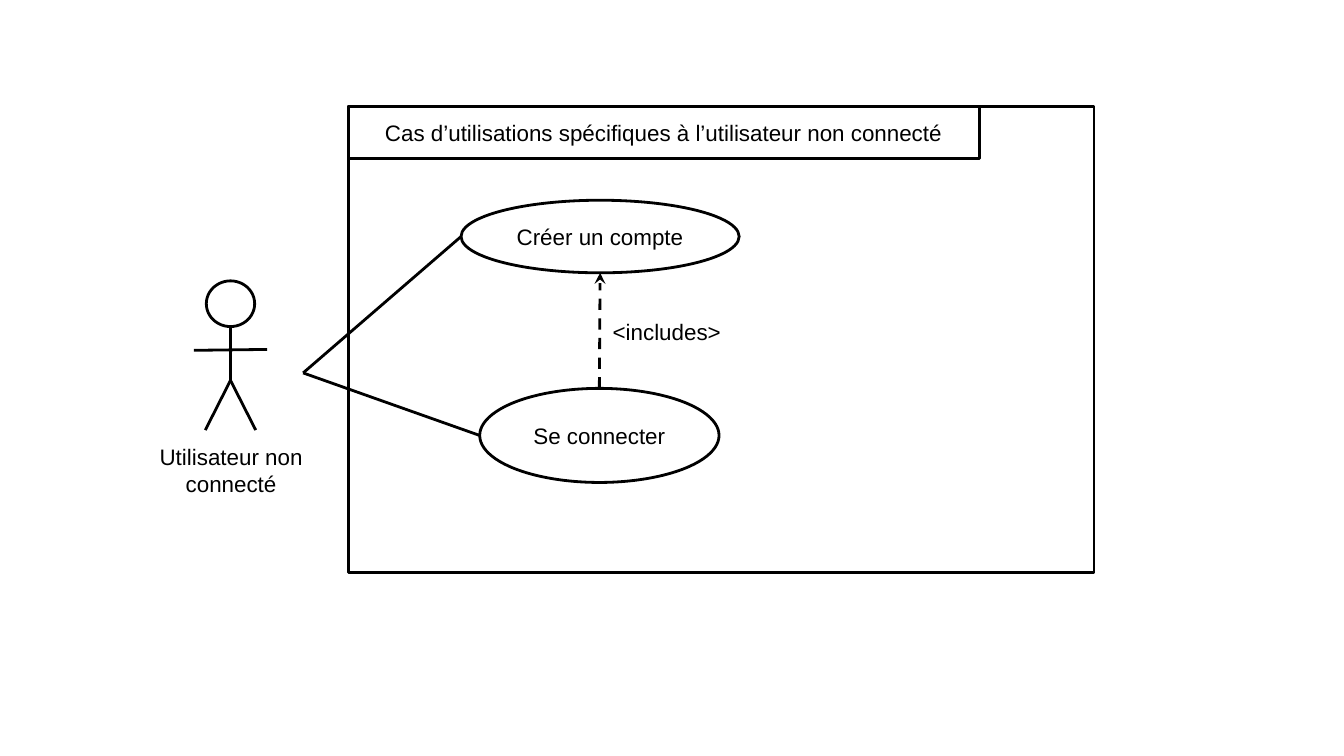
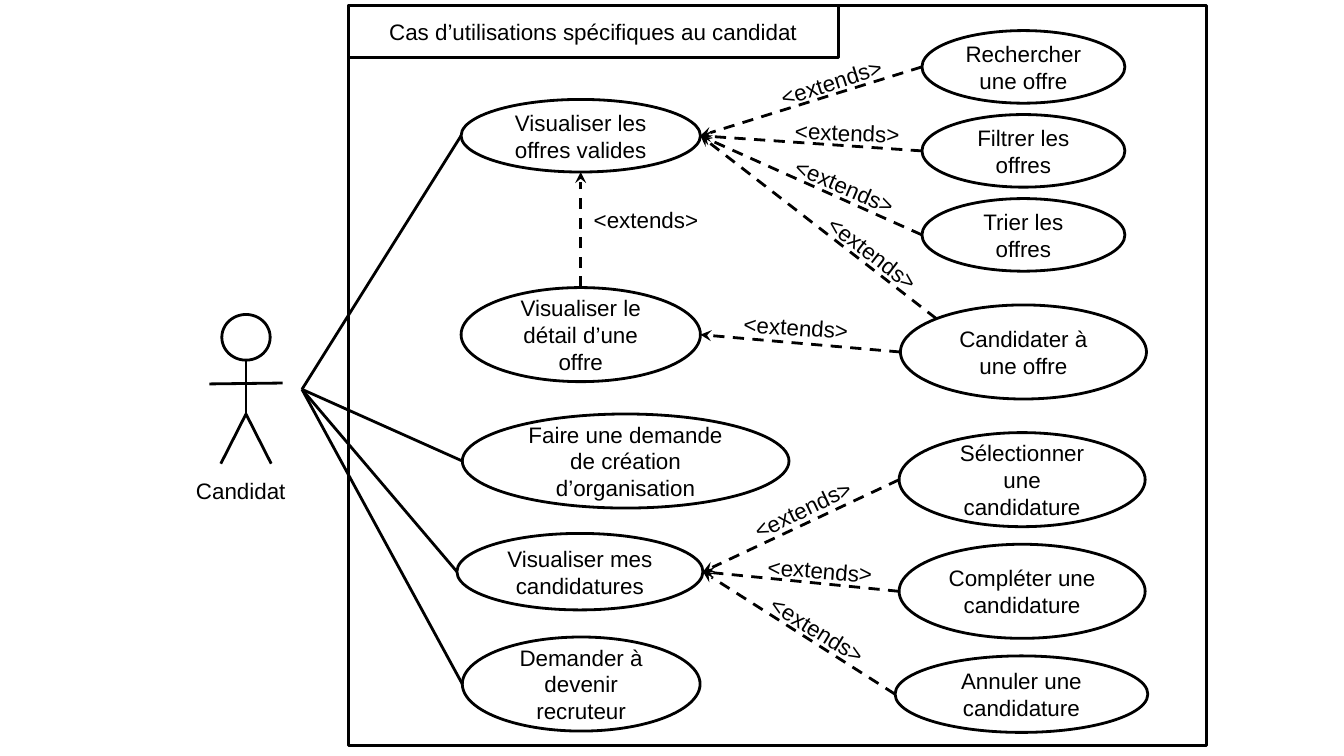
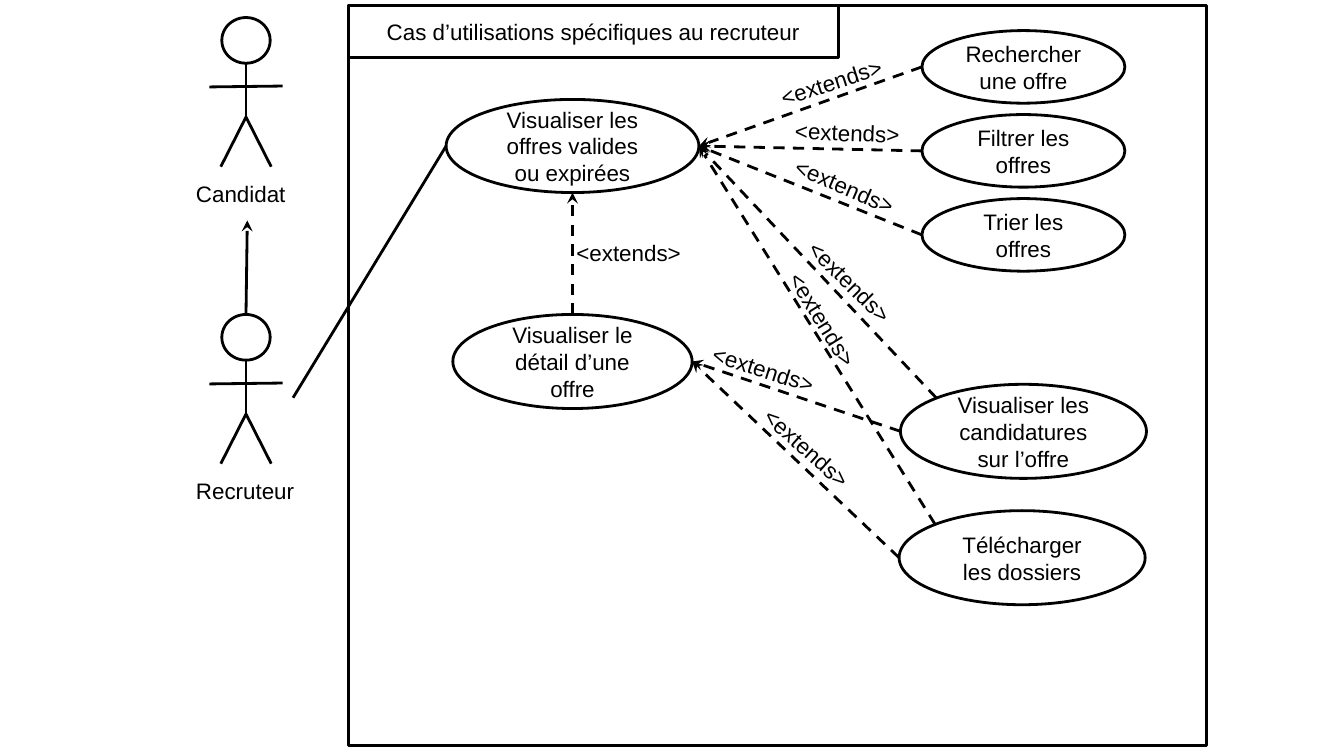
from dataclasses import dataclass
from math import sqrt
from typing import NamedTuple, Optional

from lxml import etree
from pptx import Presentation
from pptx.dml.color import RGBColor
from pptx.enum import dml, shapes, text
from pptx.oxml.ns import qn
from pptx.util import Pt

BLACK = RGBColor(0, 0, 0)
WHITE = RGBColor(255, 255, 255)
FONT = "Arial"
FONT_SIZE = 12
LINE_WIDTH = 1.5
INSET = 7.2
LABEL_WIDTH, LABEL_HEIGHT = 85, 18
TAB_HEIGHT = 28.1

# Position of each ellipse site, as a share of the half width and half height
DIAGONAL = sqrt(0.5)
SITES = {
    "top": (0, -1),
    "bottom": (0, 1),
    "left": (-1, 0),
    "right": (1, 0),
    "top left": (-DIAGONAL, -DIAGONAL),
}


class Point(NamedTuple):
    x: float
    y: float


class Box(NamedTuple):
    left: float
    top: float
    width: float
    height: float


class UseCase(NamedTuple):
    name: str
    box: Box

    def site(self, side: str) -> Point:
        dx, dy = SITES[side]
        left, top, width, height = self.box
        return Point(left + width / 2 * (1 + dx), top + height / 2 * (1 + dy))


class Label(NamedTuple):
    left: float
    top: float
    rotation: float = 0
    words: str = "<extends>"


class Dependency(NamedTuple):
    source: UseCase
    target: UseCase
    label: Label
    source_side: str = "left"
    target_side: str = "right"


class Actor(NamedTuple):
    name: str
    center: float
    top: float
    name_left: float
    name_width: float = LABEL_WIDTH
    align: text.PP_ALIGN = text.PP_ALIGN.LEFT


@dataclass
class Diagram:
    title: str
    frame: Box
    tab_width: float
    actors: list[Actor]
    hand: Point
    actor_cases: list[UseCase]
    other_cases: list[UseCase]
    dependencies: list[Dependency]
    inheritance: Optional[tuple[Point, Point]] = None


# Drawing helpers
def style_line(shape, dashed: bool = False, arrow: bool = False) -> None:
    shape.line.color.rgb = BLACK
    shape.line.width = Pt(LINE_WIDTH)
    if dashed:
        shape.line.dash_style = dml.MSO_LINE.DASH
    outline = shape.line._get_or_add_ln()
    etree.SubElement(outline, qn("a:round"))
    if arrow:
        etree.SubElement(outline, qn("a:tailEnd"), type="stealth")


def draw_line(parent, start: Point, end: Point, dashed: bool = False, arrow: bool = False) -> None:
    line = parent.add_connector(
        shapes.MSO_CONNECTOR.STRAIGHT, Pt(start.x), Pt(start.y), Pt(end.x), Pt(end.y)
    )
    style_line(line, dashed, arrow)
    etree.SubElement(line._element.spPr, qn("a:effectLst"))


def write(shape, words: str, *, align=text.PP_ALIGN.CENTER, anchor=text.MSO_ANCHOR.MIDDLE) -> None:
    frame = shape.text_frame
    frame.word_wrap = True
    frame.vertical_anchor = anchor
    frame.margin_left = frame.margin_right = Pt(INSET)
    frame.margin_top = frame.margin_bottom = Pt(INSET)
    paragraph = frame.paragraphs[0]
    paragraph.alignment = align
    run = paragraph.add_run()
    run.text = words
    run.font.name = FONT
    run.font.size = Pt(FONT_SIZE)
    run.font.color.rgb = BLACK


def draw_outline(parent, kind: shapes.MSO_SHAPE, box: Box, words: str = "") -> None:
    shape = parent.add_shape(kind, *map(Pt, box))
    shape.shadow.inherit = False
    shape.fill.background()
    style_line(shape)
    if words:
        write(shape, words)


def draw_label(parent, words: str, box: Box, rotation: float = 0, align=text.PP_ALIGN.LEFT) -> None:
    label = parent.add_textbox(*map(Pt, box))
    label.rotation = rotation
    write(label, words, align=align, anchor=text.MSO_ANCHOR.TOP)


def draw_actor(parent, actor: Actor) -> None:
    x, y = actor.center, actor.top
    head_width, head_height, feet = 25.9, 24.5, 79.9
    figure = parent.add_group_shape().shapes
    draw_outline(figure, shapes.MSO_SHAPE.OVAL, Box(x - head_width / 2, y, head_width, head_height))
    limbs = [
        (Point(x, y + 54.7), Point(x, y + head_height)),
        (Point(x - 19.6, y + 37.2), Point(x + 19.6, y + 36.7)),
        (Point(x - 13.5, y + feet), Point(x, y + 53.3)),
        (Point(x + 13.5, y + feet), Point(x, y + 53.3)),
    ]
    for start, end in limbs:
        draw_line(figure, start, end)
    name_box = Box(actor.name_left, y + feet, actor.name_width, LABEL_HEIGHT)
    draw_label(parent, actor.name, name_box, align=actor.align)


def draw_diagram(slide, diagram: Diagram) -> None:
    slide.background.fill.solid()
    slide.background.fill.fore_color.rgb = WHITE
    parent = slide.shapes
    # System frame and its title tab
    frame = diagram.frame
    draw_outline(parent, shapes.MSO_SHAPE.RECTANGLE, frame)
    tab = Box(frame.left, frame.top, diagram.tab_width, TAB_HEIGHT)
    draw_outline(parent, shapes.MSO_SHAPE.RECTANGLE, tab, diagram.title)
    # Actors
    for actor in diagram.actors:
        draw_actor(parent, actor)
    if diagram.inheritance:
        draw_line(parent, *diagram.inheritance, arrow=True)
    # Use cases and their links
    for case in diagram.actor_cases + diagram.other_cases:
        draw_outline(parent, shapes.MSO_SHAPE.OVAL, case.box, case.name)
    for case in diagram.actor_cases:
        draw_line(parent, diagram.hand, case.site("left"))
    for link in diagram.dependencies:
        start = link.source.site(link.source_side)
        end = link.target.site(link.target_side)
        draw_line(parent, start, end, dashed=True, arrow=True)
        label = link.label
        box = Box(label.left, label.top, LABEL_WIDTH, LABEL_HEIGHT)
        draw_label(parent, label.words, box, label.rotation)


# Parts shared by the candidate and recruiter diagrams
LARGE_FRAME = Box(186.5, 2.9, 460.1, 396.7)
LARGE_TAB = 262.8
OFFER_TOOLS = [
    UseCase(name, Box(493.9, 16.4 + 45 * row, 108.7, 38.9))
    for row, name in enumerate(["Rechercher une offre", "Filtrer les offres", "Trier les offres"])
]
OFFER_TOOL_LABELS = [Label(408.2, 27.4, 342.1), Label(419, 56.9, 2.2), Label(419, 88.6, 23.3)]


def offer_tool_links(offers: UseCase) -> list[Dependency]:
    return [Dependency(tool, offers, label) for tool, label in zip(OFFER_TOOLS, OFFER_TOOL_LABELS)]


def person(name: str, top: float) -> Actor:
    return Actor(name, 131.8, top, 97.9)


def visitor_diagram() -> Diagram:
    create = UseCase("Créer un compte", Box(247, 107.3, 149, 38.9))
    log_in = UseCase("Se connecter", Box(257, 208.1, 128.2, 50.4))
    visitor = Actor("Utilisateur non connecté", 123.5, 150.5, 64.1, 119.5, text.PP_ALIGN.CENTER)
    includes = Label(321.1, 163.4, words="<includes>")
    return Diagram(
        title="Cas d’utilisations spécifiques à l’utilisateur non connecté",
        frame=Box(186.5, 56.9, 399.6, 249.8),
        tab_width=338.4,
        actors=[visitor],
        hand=Point(162.4, 199.8),
        actor_cases=[create, log_in],
        other_cases=[],
        dependencies=[Dependency(log_in, create, includes, "top", "bottom")],
    )


def candidate_diagram() -> Diagram:
    offers = UseCase("Visualiser les offres valides", Box(247, 53.3, 128.2, 38.9))
    detail = UseCase("Visualiser le détail d’une offre", Box(247, 154.1, 128.2, 50.4))
    apply = UseCase("Candidater à une offre", Box(482.4, 163.4, 131.8, 50.4))
    organisation = UseCase(
        "Faire une demande de création d’organisation", Box(247.7, 221.8, 175, 50.4)
    )
    applications = UseCase("Visualiser mes candidatures", Box(244.8, 285.8, 131.8, 41))
    recruiter = UseCase("Demander à devenir recruteur", Box(247.7, 341.3, 127.4, 50.4))
    select = UseCase("Sélectionner une candidature", Box(481.7, 231.8, 131.8, 50.4))
    complete = UseCase("Compléter une candidature", Box(481.7, 291.6, 131.8, 50.4))
    cancel = UseCase("Annuler une candidature", Box(479.5, 351.4, 135.4, 41))
    return Diagram(
        title="Cas d’utilisations spécifiques au candidat",
        frame=LARGE_FRAME,
        tab_width=LARGE_TAB,
        actors=[person("Candidat", 168.5)],
        hand=Point(161.8, 208.6),
        actor_cases=[offers, organisation, applications, recruiter],
        other_cases=[*OFFER_TOOLS, detail, apply, select, complete, cancel],
        dependencies=[
            *offer_tool_links(offers),
            Dependency(detail, offers, Label(311, 103), "top", "bottom"),
            Dependency(apply, offers, Label(434.2, 126.7, 37.6), "top left"),
            Dependency(apply, detail, Label(391.7, 161.3, 3.9)),
            Dependency(select, applications, Label(391.7, 255.6, 334.2)),
            Dependency(complete, applications, Label(404.6, 291.6, 4.3)),
            Dependency(cancel, applications, Label(404.6, 327.6, 31.8)),
        ],
    )


def recruiter_diagram() -> Diagram:
    offers = UseCase("Visualiser les offres valides ou expirées", Box(239, 53.3, 135.4, 49.9))
    detail = UseCase("Visualiser le détail d’une offre", Box(242.6, 168.5, 128.2, 50.4))
    applications = UseCase(
        "Visualiser les candidatures sur l’offre", Box(482.4, 205.9, 131.8, 50.4)
    )
    download = UseCase("Télécharger les dossiers", Box(481.7, 273.6, 131.8, 50.4))
    return Diagram(
        title="Cas d’utilisations spécifiques au recruteur",
        frame=LARGE_FRAME,
        tab_width=LARGE_TAB,
        actors=[person("Recruteur", 168.5), person("Candidat", 9.4)],
        hand=Point(157, 213.1),
        actor_cases=[offers],
        other_cases=[*OFFER_TOOLS, detail, applications, download],
        dependencies=[
            *offer_tool_links(offers),
            Dependency(detail, offers, Label(301.7, 121), "top", "bottom"),
            Dependency(applications, offers, Label(421.9, 143.3, 45), "top left"),
            Dependency(download, offers, Label(406.8, 165.6, 58.2), "top left"),
            Dependency(applications, detail, Label(375.1, 185.8, 17.5)),
            Dependency(download, detail, Label(398.9, 231.8, 41.8)),
        ],
        inheritance=(Point(131.8, 168.5), Point(132.5, 118.1)),
    )


def main() -> None:
    deck = Presentation()
    deck.slide_width, deck.slide_height = Pt(720), Pt(405)
    blank = deck.slide_layouts[6]
    for diagram in (visitor_diagram(), candidate_diagram(), recruiter_diagram()):
        draw_diagram(deck.slides.add_slide(blank), diagram)
    deck.save("out.pptx")


if __name__ == "__main__":
    main()
